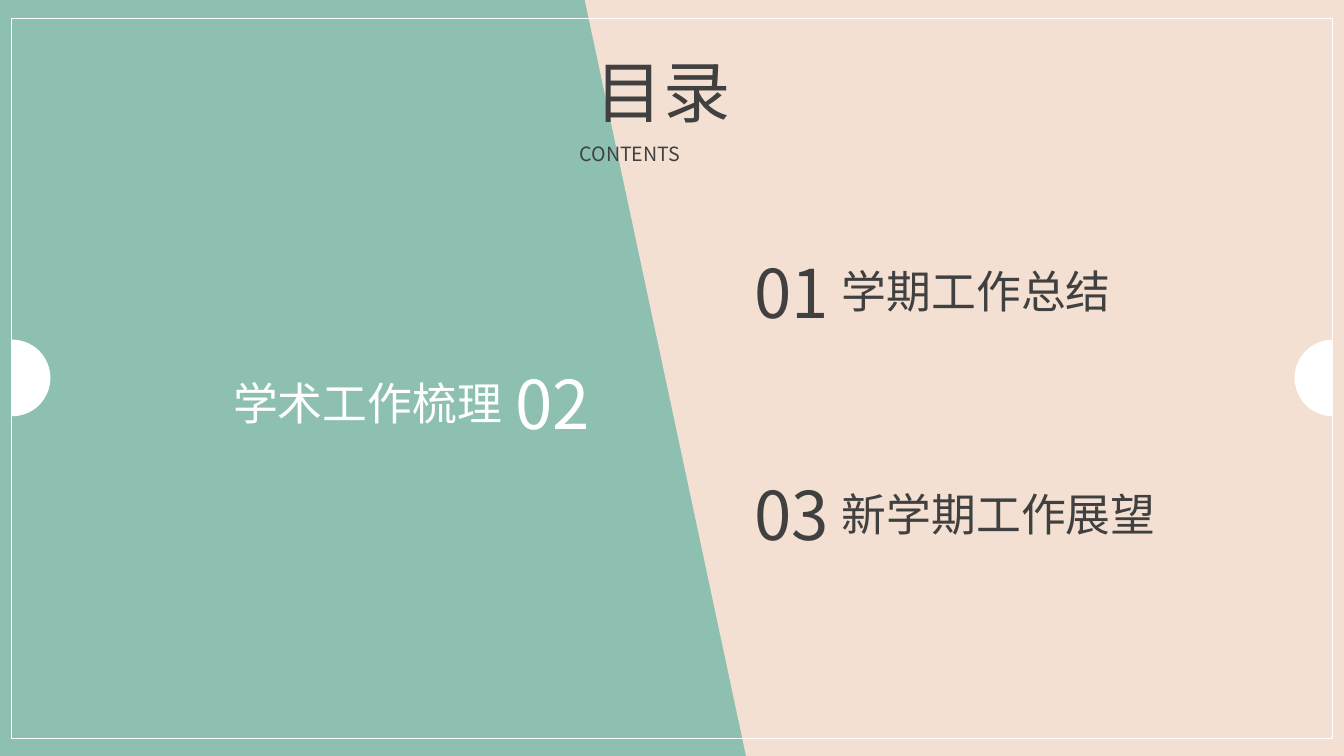
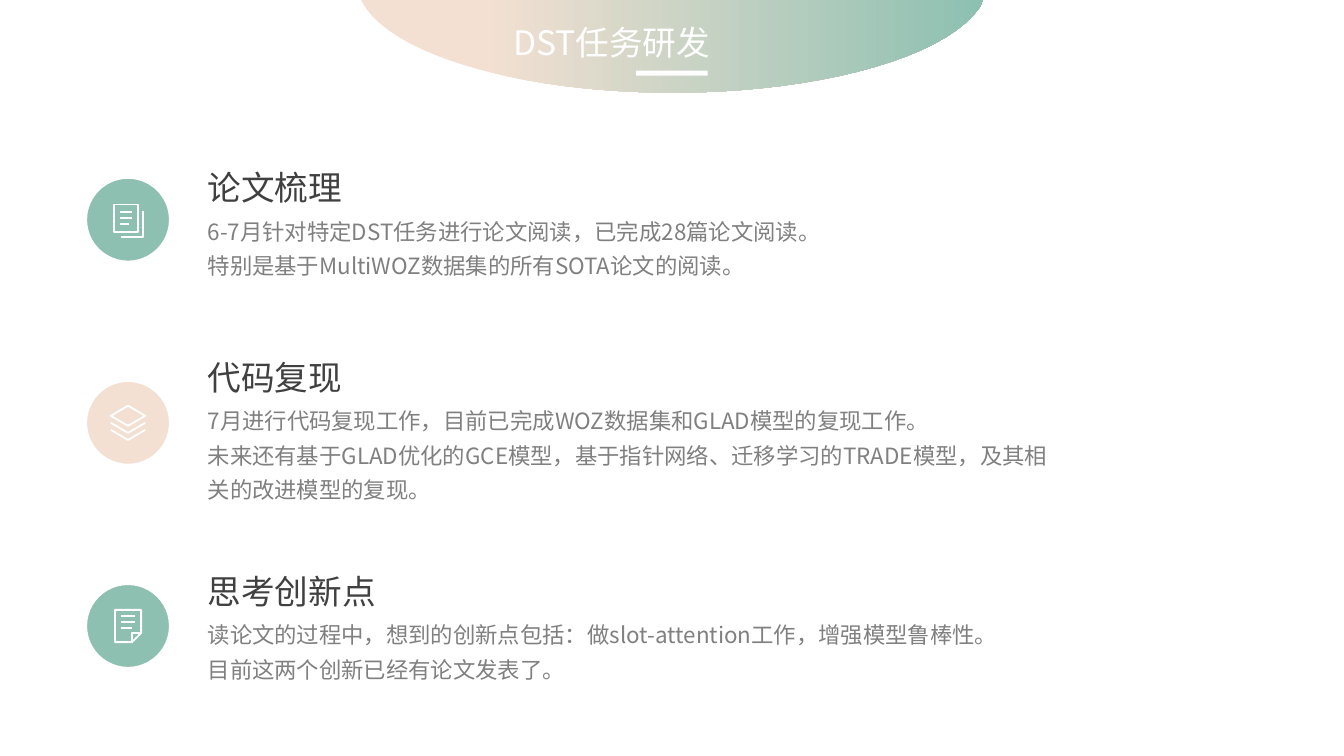
from dataclasses import dataclass
from math import cos, radians, sin

from lxml import etree
from pptx import Presentation
from pptx.dml.color import RGBColor
from pptx.enum.shapes import MSO_SHAPE
from pptx.enum.text import MSO_ANCHOR, MSO_AUTO_SIZE, PP_ALIGN
from pptx.oxml.ns import qn
from pptx.util import Inches, Pt

LEFT, CENTER, RIGHT, JUSTIFY = PP_ALIGN.LEFT, PP_ALIGN.CENTER, PP_ALIGN.RIGHT, PP_ALIGN.JUSTIFY
TOP, NO_FIT = MSO_ANCHOR.TOP, MSO_AUTO_SIZE.NONE
OVAL, RECTANGLE = MSO_SHAPE.OVAL, MSO_SHAPE.RECTANGLE


@dataclass(frozen=True)
class Theme:
    font: str = "Noto Sans CJK SC"
    green: RGBColor = RGBColor(0x8D, 0xC0, 0xB1)
    peach: RGBColor = RGBColor(0xF3, 0xE0, 0xD2)
    white: RGBColor = RGBColor(0xFF, 0xFF, 0xFF)
    dark: RGBColor = RGBColor(0x40, 0x40, 0x40)
    gray: RGBColor = RGBColor(0x80, 0x80, 0x80)
    display: int = 48
    entry: int = 32
    heading: int = 24
    body: int = 16
    caption: int = 14


theme = Theme()


def paint(shape, fill=None, line=None, width=1):
    shape.shadow.inherit = False
    if fill is None:
        shape.fill.background()
    else:
        shape.fill.solid()
        shape.fill.fore_color.rgb = fill
    if line is None:
        shape.line.fill.background()
    else:
        shape.line.color.rgb = line
        shape.line.width = Pt(width)


def write(shape, box, align, paragraphs):
    shape.left, shape.top, shape.width, shape.height = [Inches(n) for n in box]
    frame = shape.text_frame
    frame.word_wrap = True
    frame.auto_size = NO_FIT
    frame.vertical_anchor = TOP
    for index, (text, size, color, before, spacing) in enumerate(paragraphs):
        paragraph = frame.paragraphs[0] if index == 0 else frame.add_paragraph()
        properties = paragraph._p.get_or_add_pPr()
        properties.set("marL", "0")
        properties.set("indent", "0")
        etree.SubElement(properties, qn("a:buNone"))
        paragraph.alignment = align
        paragraph.space_before = Pt(before)
        paragraph.line_spacing = spacing
        run = paragraph.add_run()
        run.text = text
        run.font.size = Pt(size)
        run.font.bold = False
        run.font.color.rgb = color
        run.font.name = theme.font
        etree.SubElement(run._r.get_or_add_rPr(), qn("a:ea"), typeface=theme.font)


deck = Presentation()
deck.slide_width, deck.slide_height = Inches(13.33), Inches(7.5)
contents = deck.slides.add_slide(deck.slide_layouts[5])
research = deck.slides.add_slide(deck.slide_layouts[1])

outlines = [
    (contents, theme.green, None, True, [(0, 0), (6.45, 0), (8.27, 7.5), (0, 7.5)]),
    (contents, theme.peach, None, True, [(5.8, 0), (13.33, 0), (13.33, 7.5), (7.4, 7.5)]),
]
for edge, side in [(0.12, 1), (13.22, -1)]:
    half_disc = [
        (edge + side * 0.38 * cos(radians(a)), 3.75 + 0.38 * sin(radians(a)))
        for a in range(-90, 91, 5)
    ]
    outlines.append((contents, theme.white, None, True, half_disc))

papers_icon = [
    (True, [(-0.14, -0.15), (0.1, -0.15), (0.1, 0.12), (-0.14, 0.12)]),
    (False, [(0.15, -0.09), (0.15, 0.17), (-0.07, 0.17)]),
    (False, [(-0.08, -0.08), (0.04, -0.08)]),
    (False, [(-0.08, -0.02), (0.04, -0.02)]),
    (False, [(-0.08, 0.04), (0.01, 0.04)]),
]
layers_icon = [
    (True, [(0, -0.17), (0.17, -0.07), (0, 0.03), (-0.17, -0.07)]),
    (False, [(-0.17, 0), (0, 0.1), (0.17, 0)]),
    (False, [(-0.17, 0.07), (0, 0.17), (0.17, 0.07)]),
]
note_icon = [
    (True, [(-0.13, -0.16), (0.13, -0.16), (0.13, 0.07), (0.04, 0.16), (-0.13, 0.16)]),
    (False, [(0.13, 0.07), (0.04, 0.07), (0.04, 0.16)]),
    (False, [(-0.07, -0.1), (0.07, -0.1)]),
    (False, [(-0.07, -0.04), (0.07, -0.04)]),
    (False, [(-0.07, 0.02), (0.04, 0.02)]),
]
badges = [(theme.green, papers_icon), (theme.peach, layers_icon), (theme.green, note_icon)]
for row, (color, icon) in enumerate(badges):
    center_x, center_y = 1.27, 2.18 + 2.015 * row
    badge = research.shapes.add_shape(
        OVAL, Inches(center_x - 0.42), Inches(center_y - 0.42), Inches(0.84), Inches(0.84)
    )
    paint(badge, color, theme.white, 2)
    for closed, stroke in icon:
        points = [(center_x + x, center_y + y) for x, y in stroke]
        outlines.append((research, None, theme.white, closed, points))

dome = [
    (6.67 + 3.13 * sin(radians(a)), -0.18 + 1.1 * cos(radians(a)))
    for a in range(80, -81, -4)
]
outlines.append((research, theme.peach, None, True, [(3.58, 0), (9.75, 0)] + dome))

for slide, fill, line, closed, points in outlines:
    start, *rest = [(Inches(x), Inches(y)) for x, y in points]
    builder = slide.shapes.build_freeform(*start)
    builder.add_line_segments(rest, close=closed)
    outline = builder.convert_to_shape()
    paint(outline, fill, line, 1.3)

outline.fill.gradient()
outline.fill.gradient_angle = 0
for stop, color, position in zip(
    outline.fill.gradient_stops, (theme.peach, theme.green), (0.2, 1)
):
    stop.color.rgb = color
    stop.position = position

frame_line = contents.shapes.add_shape(
    RECTANGLE, Inches(0.11), Inches(0.18), Inches(13.11), Inches(7.15)
)
paint(frame_line, None, theme.white, 0.5)
title_rule = research.shapes.add_shape(
    RECTANGLE, Inches(6.31), Inches(0.7), Inches(0.71), Inches(0.05)
)
paint(title_rule, theme.white)

titles = [
    (contents, "目录", theme.display, theme.dark, (5.81, 0.45, 1.72, 0.91)),
    (research, "DST任务研发", theme.heading, theme.white, (4.99, 0.17, 3.34, 0.5)),
]
for slide, text, size, color, box in titles:
    title = slide.shapes.title
    slide.shapes._spTree.append(title._element)
    write(title, box, JUSTIFY, [(text, size, color, 0, 1)])

labels = [("CONTENTS", theme.caption, theme.dark, (5.65, 1.36, 2.03, 0.34), JUSTIFY)]
entries = [
    ("学期工作总结", theme.dark, 7.28, 8.25, 2.94, LEFT),
    ("学术工作梳理", theme.white, 4.91, 1.99, 3.09, RIGHT),
    ("新学期工作展望", theme.dark, 7.28, 8.25, 3.45, LEFT),
]
for row, (text, color, number_x, text_x, width, align) in enumerate(entries):
    top = 2.44 + 1.105 * row
    labels.append((text, theme.entry, color, (text_x, top + 0.13, width, 0.64), align))
    labels.append(
        (f"{row + 1:02}", theme.display, color, (number_x, top, 1.14, 0.91), CENTER)
    )
for text, size, color, box, align in labels:
    label = contents.shapes.add_textbox(0, 0, 0, 0)
    write(label, box, align, [(text, size, color, 0, 1)])

topics = [
    (0, "论文梳理", [
        "6-7月针对特定DST任务进行论文阅读，已完成28篇论文阅读。",
        "特别是基于MultiWOZ数据集的所有SOTA论文的阅读。",
    ]),
    (55, "代码复现", [
        "7月进行代码复现工作，目前已完成WOZ数据集和GLAD模型的复现工作。",
        "未来还有基于GLAD优化的GCE模型，基于指针网络、迁移学习的TRADE模型，及其相关的改进模型的复现。",
    ]),
    (48, "思考创新点", [
        "读论文的过程中，想到的创新点包括：做slot-attention工作，增强模型鲁棒性。",
        "目前这两个创新已经有论文发表了。",
    ]),
]
topic_paragraphs = []
for gap, heading, details in topics:
    topic_paragraphs.append((heading, theme.heading, theme.dark, gap, 1))
    for index, detail in enumerate(details):
        before = 1.4 if index == 0 else 0
        topic_paragraphs.append((detail, theme.body, theme.gray, before, 1.3))
write(research.placeholders[1], (1.96, 1.61, 8.61, 5.21), LEFT, topic_paragraphs)

deck.save("out.pptx")
